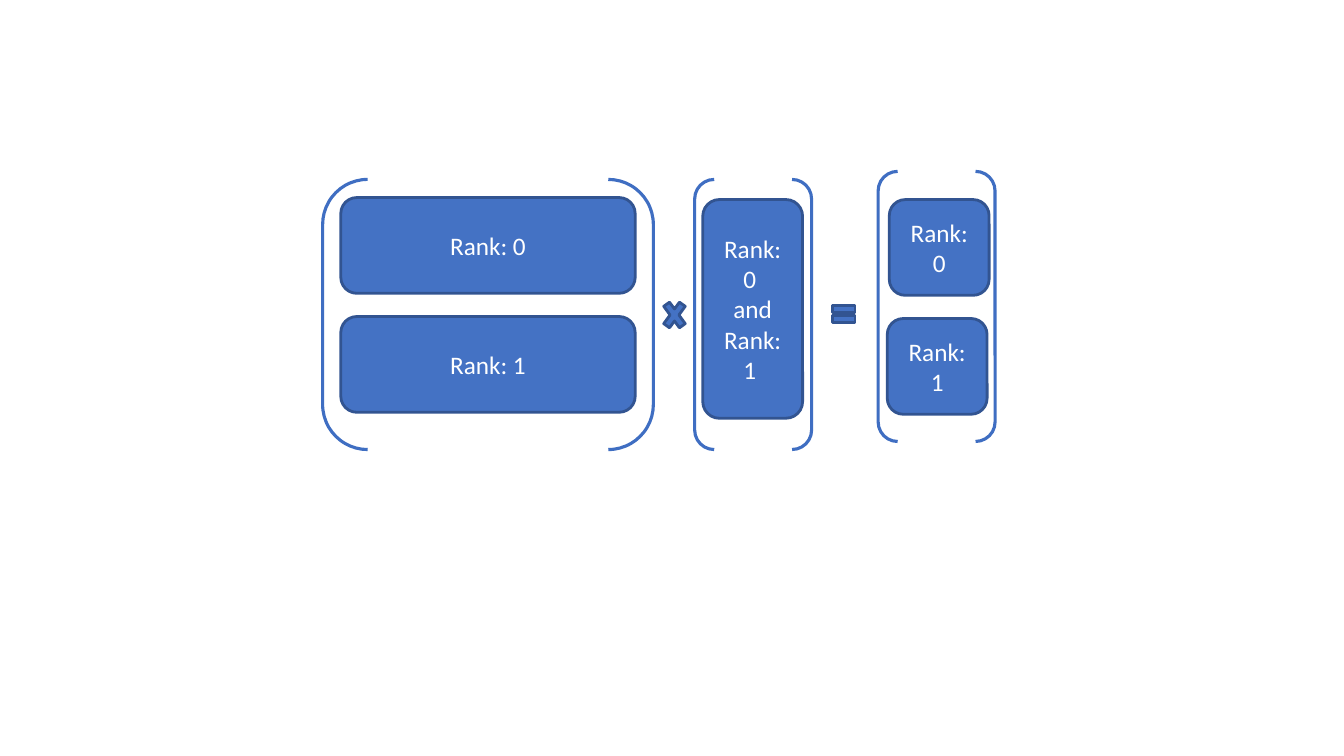
import pptx
import pptx.dml.color
import pptx.enum.shapes
import pptx.enum.text
import pptx.util

Inches = pptx.util.Inches
Pt = pptx.util.Pt
RGBColor = pptx.dml.color.RGBColor
SHAPE = pptx.enum.shapes.MSO_SHAPE

BLUE = RGBColor(0x44, 0x72, 0xC4)
DARK_BLUE = RGBColor(0x32, 0x54, 0x91)
BRACKET_BLUE = RGBColor(0x3F, 0x6E, 0xC2)
WHITE = RGBColor(0xFF, 0xFF, 0xFF)

BRACKET_HEIGHT = 2.68
VECTOR_BRACKET_WIDTH = 1.16
MATRIX_BLOCK_WIDTH = 2.92
VECTOR_BLOCK_WIDTH = 0.99
BLOCK_HEIGHT = 0.95
ROW_STEP = 1.18


def add_outlined(page, kind, left, top, width, height, color, weight):
    shape = page.shapes.add_shape(
        kind, Inches(left), Inches(top), Inches(width), Inches(height))
    shape.shadow.inherit = False
    shape.line.color.rgb = color
    shape.line.width = Pt(weight)
    return shape


def add_brackets(page, left, top, width):
    brackets = add_outlined(page, SHAPE.DOUBLE_BRACKET, left, top, width,
                            BRACKET_HEIGHT, BRACKET_BLUE, 2.24)
    brackets.fill.background()


def add_solid(page, kind, left, top, width, height):
    shape = add_outlined(page, kind, left, top, width, height, DARK_BLUE, 2)
    shape.fill.solid()
    shape.fill.fore_color.rgb = BLUE
    return shape


def add_block(page, text, left, top, width, height=BLOCK_HEIGHT):
    block = add_solid(page, SHAPE.ROUNDED_RECTANGLE, left, top, width, height)
    frame = block.text_frame
    frame.word_wrap = True
    frame.vertical_anchor = pptx.enum.text.MSO_ANCHOR.MIDDLE
    frame.text = text
    for para in frame.paragraphs:
        para.alignment = pptx.enum.text.PP_ALIGN.CENTER
        para.font.name = "Calibri"
        para.font.size = Pt(18)
        para.font.color.rgb = WHITE


def main():
    deck = pptx.Presentation()
    deck.slide_width = Inches(13.33)
    deck.slide_height = Inches(7.5)
    page = deck.slides.add_slide(deck.slide_layouts[6])

    # Matrix split by rows between the ranks
    add_brackets(page, 3.2, 1.78, 3.28)
    for rank in range(2):
        add_block(page, f"Rank: {rank}", 3.38, 1.96 + rank * ROW_STEP,
                  MATRIX_BLOCK_WIDTH)

    # Vector shared by both ranks
    add_brackets(page, 6.89, 1.78, VECTOR_BRACKET_WIDTH)
    add_block(page, "Rank:\n0 \nand\nRank: 1 ", 6.97, 1.98,
              VECTOR_BLOCK_WIDTH, 2.17)

    # Operators
    add_solid(page, SHAPE.MATH_EQUAL, 8.22, 2.97, 0.3, 0.29)
    add_solid(page, SHAPE.MATH_MULTIPLY, 6.54, 2.92, 0.3, 0.41)

    # Result vector split between the ranks
    add_brackets(page, 8.71, 1.7, VECTOR_BRACKET_WIDTH)
    for rank, left in enumerate((8.82, 8.8)):
        add_block(page, f"Rank:\n{rank}", left, 1.98 + rank * ROW_STEP,
                  VECTOR_BLOCK_WIDTH)

    deck.save("out.pptx")


main()
